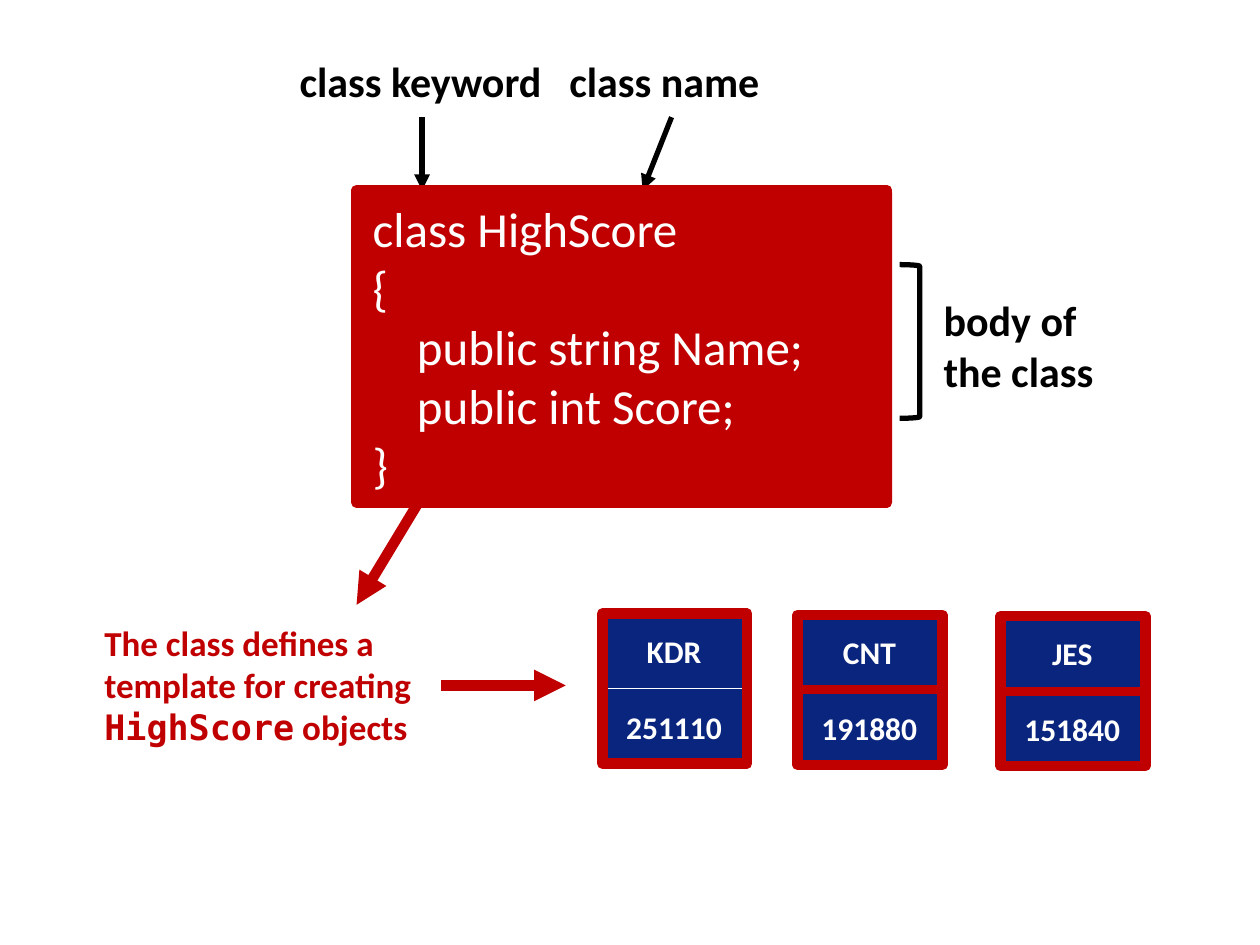
import pptx
import pptx.dml.color
import pptx.enum.shapes
import pptx.enum.text
import pptx.oxml.ns
import pptx.util
from lxml import etree

Inches = pptx.util.Inches
Pt = pptx.util.Pt
RGBColor = pptx.dml.color.RGBColor
Shape = pptx.enum.shapes.MSO_SHAPE
qn = pptx.oxml.ns.qn

BLACK = RGBColor(0x00, 0x00, 0x00)
WHITE = RGBColor(0xFF, 0xFF, 0xFF)
RED = RGBColor(0xC0, 0x00, 0x00)
NAVY = RGBColor(0x09, 0x25, 0x7D)
BODY_FONT = "Calibri"
CODE_FONT = "DejaVu Sans Mono"

CLASS_CODE = [
    "class HighScore",
    "{",
    "    public string Name;",
    "    public int Score;",
    "}",
]
SCORE_CARDS = [
    (4.78, 4.87, "KDR", "251110", None),
    (6.33, 4.88, "CNT", "191880", 4.5),
    (7.94, 4.89, "JES", "151840", 4.5),
]


def set_font(paragraph, size, color, bold=True):
    font = paragraph.font
    font.name = BODY_FONT
    font.size = Pt(size)
    font.bold = bold
    font.color.rgb = color


def add_label(slide, left, top, width, height, runs, size, color, wrap=True):
    label = slide.shapes.add_textbox(
        Inches(left), Inches(top), Inches(width), Inches(height)
    )
    label.text_frame.word_wrap = wrap
    label.text_frame.auto_size = pptx.enum.text.MSO_AUTO_SIZE.SHAPE_TO_FIT_TEXT
    paragraph = label.text_frame.paragraphs[0]
    for text, font_name in runs:
        run = paragraph.add_run()
        run.text = text
        if font_name:
            run.font.name = font_name
    set_font(paragraph, size, color)
    return label


def add_block(slide, kind, left, top, width, height, fill=None, line=None, weight=None):
    shape = slide.shapes.add_shape(
        kind, Inches(left), Inches(top), Inches(width), Inches(height)
    )
    shape.shadow.inherit = False
    if fill is None:
        shape.fill.background()
    else:
        shape.fill.solid()
        shape.fill.fore_color.rgb = fill
    if weight is None:
        shape.line.fill.background()
    else:
        shape.line.color.rgb = line
        shape.line.width = Pt(weight)
    return shape


def add_arrow(slide, start, end, color, weight):
    arrow = slide.shapes.add_connector(
        pptx.enum.shapes.MSO_CONNECTOR.STRAIGHT,
        *(Inches(value) for value in start + end),
    )
    arrow.line.color.rgb = color
    arrow.line.width = Pt(weight)
    etree.SubElement(arrow.line._get_or_add_ln(), qn("a:tailEnd"), type="triangle")
    etree.SubElement(arrow._element.spPr, qn("a:effectLst"))
    return arrow


def add_code_box(slide):
    box = add_block(slide, Shape.RECTANGLE, 2.86, 1.53, 4.22, 2.46, fill=RED)
    frame = box.text_frame
    frame.word_wrap = True
    frame.vertical_anchor = pptx.enum.text.MSO_ANCHOR.TOP
    frame.text = "\n".join(CLASS_CODE)
    for paragraph in frame.paragraphs:
        paragraph.alignment = pptx.enum.text.PP_ALIGN.LEFT
        set_font(paragraph, 28, WHITE, bold=False)


def add_score_card(slide, left, top, name, score, cell_weight):
    for row, text in enumerate((name, score)):
        cell = add_block(
            slide, Shape.RECTANGLE, left, top + row * 0.6, 1.14, 0.59,
            NAVY, RED, cell_weight,
        )
        cell.text_frame.text = text
        cell.text_frame.vertical_anchor = pptx.enum.text.MSO_ANCHOR.MIDDLE
        paragraph = cell.text_frame.paragraphs[0]
        paragraph.alignment = pptx.enum.text.PP_ALIGN.CENTER
        set_font(paragraph, 18, WHITE)
    add_block(slide, Shape.RECTANGLE, left, top, 1.15, 1.19, line=RED, weight=6)


def main():
    presentation = pptx.Presentation()
    presentation.slide_width = Inches(10)
    presentation.slide_height = Inches(7.5)
    slide = presentation.slides.add_slide(presentation.slide_layouts[6])

    add_label(slide, 2.28, 0.39, 2.14, 0.5, [("class keyword", None)], 24, BLACK, False)
    add_arrow(slide, (3.35, 0.93), (3.35, 1.51), BLACK, 3)
    add_label(slide, 4.42, 0.39, 1.73, 0.5, [("class name", None)], 24, BLACK, False)
    add_arrow(slide, (5.33, 0.93), (5.1, 1.51), BLACK, 3)

    add_block(slide, Shape.RIGHT_BRACKET, 7.14, 2.1, 0.16, 1.22, line=BLACK, weight=3)
    add_label(slide, 7.39, 2.29, 1.55, 0.91, [("body of the class", None)], 24, BLACK)

    add_arrow(slide, (3.32, 3.99), (2.83, 4.8), RED, 6)
    add_block(slide, Shape.RECTANGLE, 2.83, 1.51, 4.21, 2.48, line=RED, weight=6)
    caption = add_label(
        slide, 0.73, 4.88, 2.77, 1.12,
        [
            ("The class defines a template for creating ", None),
            ("HighScore", CODE_FONT),
            (" objects", None),
        ],
        20, RED,
    )

    for card in SCORE_CARDS:
        add_score_card(slide, *card)
    caption_arrow = add_arrow(slide, (3.5, 5.44), (4.49, 5.44), RED, 6)
    caption_arrow.begin_connect(caption, 3)
    add_code_box(slide)

    presentation.save("out.pptx")


if __name__ == "__main__":
    main()
